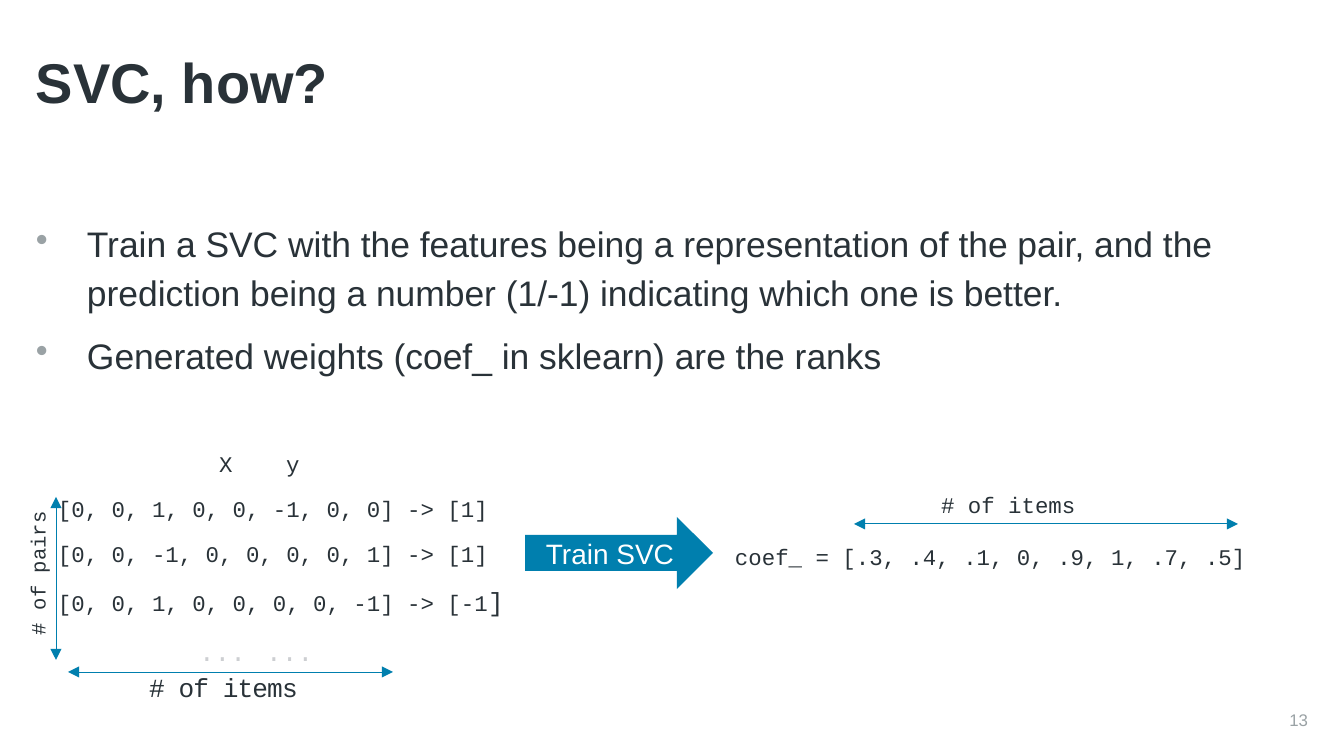
from dataclasses import dataclass

from pptx import Presentation
from pptx.dml.color import RGBColor
from pptx.enum.shapes import MSO_CONNECTOR, MSO_SHAPE
from pptx.enum.text import MSO_ANCHOR, PP_ALIGN
from pptx.oxml.ns import qn
from pptx.util import Pt
from lxml import etree

STRAIGHT = MSO_CONNECTOR.STRAIGHT
RIGHT_ARROW = MSO_SHAPE.RIGHT_ARROW
TOP, MIDDLE, BOTTOM = MSO_ANCHOR.TOP, MSO_ANCHOR.MIDDLE, MSO_ANCHOR.BOTTOM
LEFT, CENTER, RIGHT = PP_ALIGN.LEFT, PP_ALIGN.CENTER, PP_ALIGN.RIGHT
EMU_PER_PX = 9144000 / 1344


@dataclass(frozen=True)
class Theme:
    """Colours, fonts and type sizes of the slide."""
    ink: str = "293238"
    accent: str = "007FAE"
    muted: str = "9AA2A5"
    faint: str = "CDCFD2"
    white: str = "FFFFFF"
    sans: str = "Arial"
    mono: str = "Courier New"
    title: float = 30
    body: float = 19
    arrow: float = 15
    code_large: float = 14
    code: float = 12
    code_small: float = 11
    number: float = 9
    line: float = 0.5


THEME = Theme()
SANS = {"name": THEME.sans, "size": THEME.body, "color": THEME.ink}
CODE = {"name": THEME.mono, "size": THEME.code, "color": THEME.ink}
CODE_LARGE = {**CODE, "size": THEME.code_large}
LOOSE = {"line_spacing": 1.15, "space_before": Pt(7.5)}


def px(length):
    """Turn px into EMU."""
    return round(length * EMU_PER_PX)


def place(shape, box):
    """Move a shape to a box of left, top, width and height."""
    for name, length in zip(("left", "top", "width", "height"), box):
        setattr(shape, name, px(length))


def format_frame(frame, anchor=TOP, top=0):
    """Wrap a text frame and clear its insets, apart from the top one."""
    values = {"word_wrap": True, "vertical_anchor": anchor, "margin_left": 0,
              "margin_right": 0, "margin_top": px(top), "margin_bottom": 0}
    for name, value in values.items():
        setattr(frame, name, value)


def add_run(paragraph, text, style):
    """Add a run formatted from a style."""
    run = paragraph.add_run()
    run.text = text
    for name, value in style.items():
        if name == "color":
            run.font.color.rgb = RGBColor.from_string(value)
        else:
            setattr(run.font, name, Pt(value) if name == "size" else value)
    return run


def format_paragraph(paragraph, values):
    """Set paragraph attributes."""
    for name, value in values.items():
        setattr(paragraph, name, value)


def add_text(slide, box, text, style, align=LEFT, anchor=TOP):
    """Add a text box with one line of text."""
    shape = slide.shapes.add_textbox(*map(px, box))
    format_frame(shape.text_frame, anchor)
    paragraph = shape.text_frame.paragraphs[0]
    paragraph.alignment = align
    add_run(paragraph, text, style)
    return shape


def add_double_arrow(slide, start, end):
    """Add a thin line with an arrowhead at each end."""
    line = slide.shapes.add_connector(STRAIGHT, *map(px, start + end))
    line.line.color.rgb = RGBColor.from_string(THEME.accent)
    line.line.width = Pt(THEME.line)
    outline = line.line._get_or_add_ln()
    for tag in ("a:headEnd", "a:tailEnd"):
        etree.SubElement(outline, qn(tag), type="triangle")
    etree.SubElement(line._element.spPr, qn("a:effectLst"))


def add_bullet(paragraph, indent):
    """Give a paragraph a muted bullet and a hanging indent."""
    properties = paragraph._p.get_or_add_pPr()
    properties.set("marL", str(px(indent)))
    properties.set("indent", str(px(-indent)))
    color = etree.SubElement(properties, qn("a:buClr"))
    etree.SubElement(color, qn("a:srgbClr"), val=THEME.muted)
    etree.SubElement(properties, qn("a:buChar"), char="•")


def set_columns(paragraph, first, second):
    """Indent a paragraph to one column and put a tab stop at the next."""
    properties = paragraph._p.get_or_add_pPr()
    properties.set("marL", str(px(first)))
    properties.set("indent", "0")
    stops = etree.SubElement(properties, qn("a:tabLst"))
    etree.SubElement(stops, qn("a:tab"), pos=str(px(second)), algn="l")


def build_title(slide, box):
    """Fill the title placeholder."""
    title = slide.shapes.title
    place(title, box)
    format_frame(title.text_frame, TOP, 16)
    paragraph = title.text_frame.paragraphs[0]
    paragraph.alignment = LEFT
    add_run(paragraph, "SVC, how?", {**SANS, "size": THEME.title, "bold": True})


def build_bullets(slide, box):
    """Add the two bullet points."""
    points = (
        "Train a SVC with the features being a representation of the pair, "
        "and the prediction being a number (1/-1) indicating which one is better.",
        "Generated weights (coef_ in sklearn) are the ranks",
    )
    frame = slide.shapes.add_textbox(*map(px, box)).text_frame
    format_frame(frame)
    for index, text in enumerate(points):
        paragraph = frame.add_paragraph() if index else frame.paragraphs[0]
        format_paragraph(paragraph, LOOSE)
        add_bullet(paragraph, 51)
        add_run(paragraph, text, SANS)


def build_training_data(slide, box):
    """Add the pair matrix with its labels and dimension arrows."""
    left, top, width, height = box
    faint = {**CODE_LARGE, "color": THEME.faint}
    rows = (
        ((161, 403), [("X\ty", CODE)]),
        (None, [("[0, 0, 1, 0, 0, -1, 0, 0] -> [1]", CODE)]),
        (None, [("[0, 0, -1, 0, 0, 0, 0, 1] -> [1]", CODE)]),
        (None, [("[0, 0, 1, 0, 0, 0, 0, -1] -> [-1", CODE), ("]", CODE_LARGE)]),
        ((141, 392), [("...\t...", faint)]),
    )
    matrix = (left + 28, top, width - 28, height - 30)
    frame = slide.shapes.add_textbox(*map(px, matrix)).text_frame
    format_frame(frame)
    for index, (columns, runs) in enumerate(rows):
        paragraph = frame.add_paragraph() if index else frame.paragraphs[0]
        format_paragraph(paragraph, LOOSE)
        if columns:
            set_columns(paragraph, *columns)
        for text, style in runs:
            add_run(paragraph, text, style)
    label = add_text(slide, (left + 119, top + 225, 170, 30), "# of items", CODE_LARGE)
    run = label.text_frame.paragraphs[0].runs[0]
    run._r.get_or_add_rPr().set("spc", "-50")
    add_double_arrow(slide, (left + 38, top + 226), (left + 363, top + 226))
    add_double_arrow(slide, (left + 26, top + 214), (left + 26, top + 51))
    pairs = add_text(slide, (left - 109, top + 60, 233, 25), "# of pairs",
                     {**CODE, "size": THEME.code_small})
    pairs.rotation = 270


def build_train_arrow(slide, box):
    """Add the block arrow for the training step."""
    arrow = slide.shapes.add_shape(RIGHT_ARROW, *map(px, box))
    arrow.shadow.inherit = False
    arrow.fill.solid()
    arrow.fill.fore_color.rgb = RGBColor.from_string(THEME.accent)
    arrow.line.fill.background()
    format_frame(arrow.text_frame, MIDDLE)
    paragraph = arrow.text_frame.paragraphs[0]
    paragraph.alignment = CENTER
    add_run(paragraph, "Train SVC",
            {**SANS, "size": THEME.arrow, "color": THEME.white})


def build_coefficients(slide, box):
    """Add the learned weights below their dimension arrow."""
    left, top, width, height = box
    add_text(slide, (left + 206, top, 150, 26), "# of items", CODE)
    add_double_arrow(slide, (left + 119, top + 33), (left + 503, top + 33))
    add_text(slide, (left, top + 52, width, height - 52),
             "coef_ = [.3, .4, .1, 0, .9, 1, .7, .5]", CODE)


def main():
    """Build and save the slide."""
    presentation = Presentation()
    presentation.slide_width, presentation.slide_height = px(1344), px(756)
    slide = presentation.slides.add_slide(presentation.slide_layouts[5])
    build_title(slide, (36, 32, 1270, 169))
    build_bullets(slide, (36, 216, 1270, 170))
    build_training_data(slide, (30, 446, 490, 255))
    build_train_arrow(slide, (525, 517, 188, 72))
    build_coefficients(slide, (735, 491, 530, 78))
    add_text(slide, (1106, 710, 202, 20), "13",
             {**SANS, "size": THEME.number, "color": THEME.muted}, RIGHT, BOTTOM)
    presentation.save("out.pptx")


if __name__ == "__main__":
    main()
